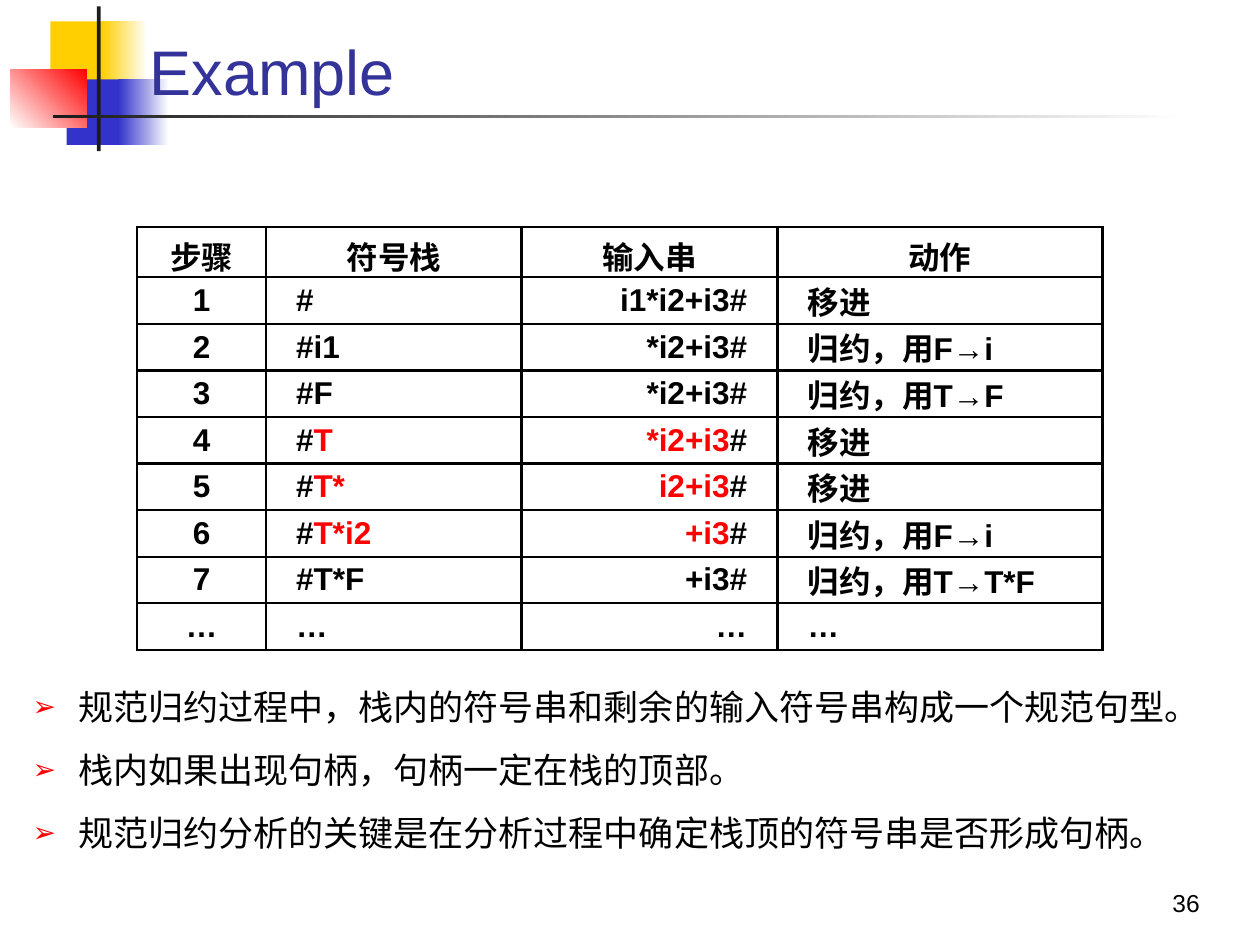
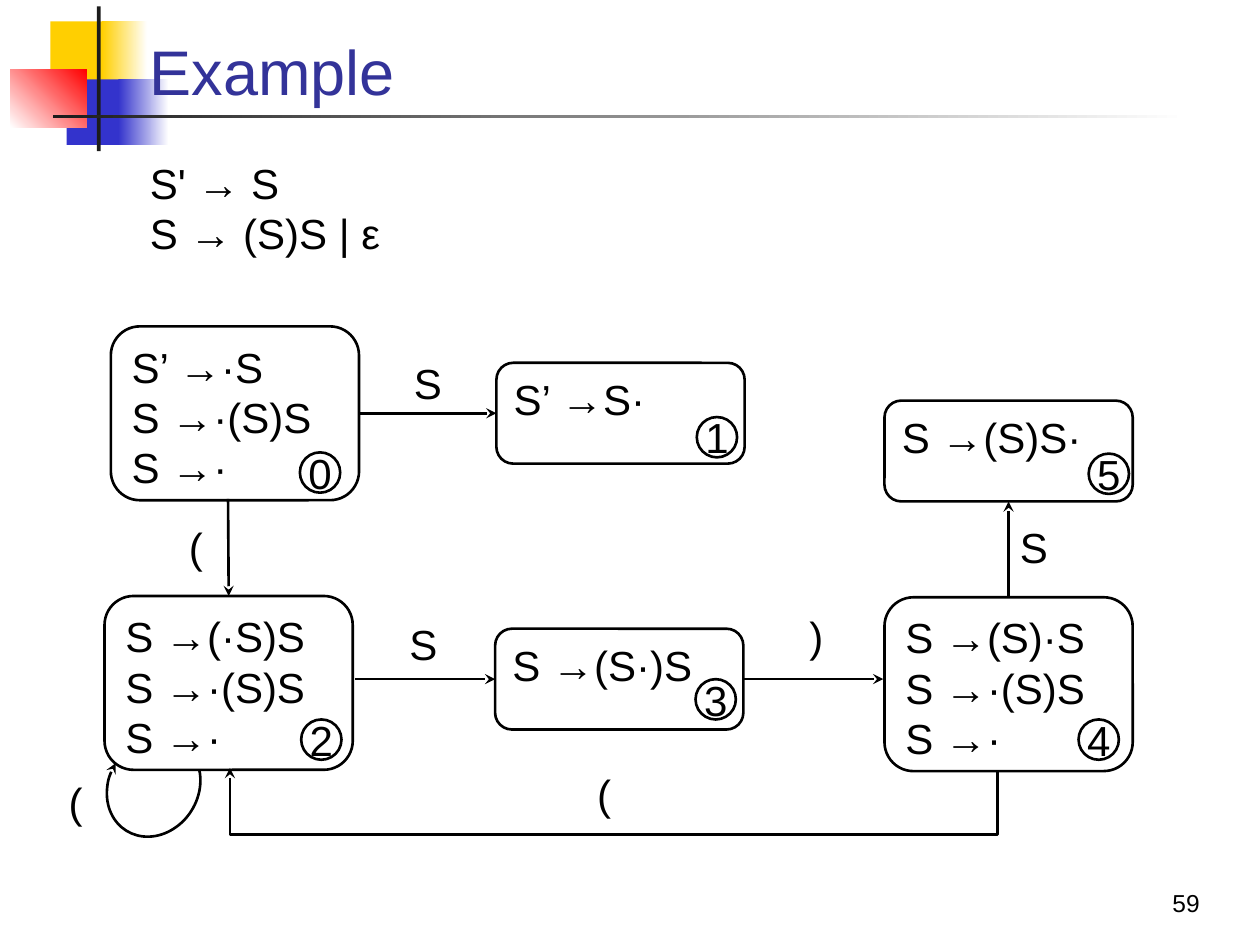
from dataclasses import dataclass
from typing import Optional

from lxml.etree import SubElement
from pptx import Presentation
from pptx.dml.color import RGBColor
from pptx.enum.shapes import MSO_CONNECTOR as Connector, MSO_SHAPE as Preset
from pptx.enum.text import MSO_ANCHOR as Anchor, MSO_AUTO_SIZE as AutoSize, PP_ALIGN as Align
from pptx.oxml import parse_xml
from pptx.oxml.ns import nsdecls, qn
from pptx.util import Inches, Pt

BLACK = RGBColor(0x00, 0x00, 0x00)
WHITE = RGBColor(0xFF, 0xFF, 0xFF)
RED = RGBColor(0xFF, 0x00, 0x00)
YELLOW = RGBColor(0xFF, 0xCF, 0x01)
BLUE = RGBColor(0x33, 0x33, 0xCC)
TITLE_BLUE = RGBColor(0x33, 0x33, 0x99)
CHARCOAL = RGBColor(0x1C, 0x1C, 0x1C)
FONT = "Arial"
LINE_WIDTH = Pt(1.5)
STATE_WIDTH, CIRCLE_SIZE = 1.97, 0.32

Box = tuple[float, float, float, float]
Point = tuple[float, float]
Site = tuple[int, int]  # state number, connection site


@dataclass
class Band:
    box: Box
    start: RGBColor
    end: Optional[RGBColor] = None
    angle: int = 0


@dataclass
class Step:
    number: str
    stack: str
    rest: str
    action: str
    highlighted: bool = False


@dataclass
class State:
    left: float
    top: float
    height: float
    items: str
    circle: Point


@dataclass
class Transition:
    start: Point
    end: Point
    source: Optional[Site] = None
    target: Optional[Site] = None


BANDS = [
    Band((0.4, 0.17, 0.48, 0.52), YELLOW),
    Band((0.81, 0.17, 0.36, 0.52), YELLOW, WHITE),
    Band((0.53, 0.63, 0.46, 0.52), BLUE),
    Band((0.94, 0.63, 0.4, 0.52), BLUE, WHITE),
    Band((0.08, 0.55, 0.61, 0.46), WHITE, RED, 45),
    Band((0.77, 0.05, 0.03, 1.15), CHARCOAL),
    Band((0.42, 0.91, 9, 0.03), CHARCOAL, WHITE),
]

HEADINGS = ["步骤", "符号栈", "输入串", "动作"]
COLUMN_WIDTHS = [1.02, 2.03, 2.03, 2.58]
COLUMN_ALIGNS = [Align.CENTER, Align.JUSTIFY, Align.RIGHT, Align.JUSTIFY]
COLUMN_MARGINS = [(0.07, 0.07), (0.24, 0.07), (0.07, 0.24), (0.24, 0.07)]
ROW_HEIGHT = 0.37
STEPS = [
    Step("1", "#", "i1*i2+i3#", "移进"),
    Step("2", "#i1", "*i2+i3#", "归约，用F→i"),
    Step("3", "#F", "*i2+i3#", "归约，用T→F"),
    Step("4", "#T", "*i2+i3#", "移进", True),
    Step("5", "#T*", "i2+i3#", "移进", True),
    Step("6", "#T*i2", "+i3#", "归约，用F→i", True),
    Step("7", "#T*F", "+i3#", "归约，用T→T*F"),
    Step("…", "…", "…", "…"),
]
REMARKS = [
    "规范归约过程中，栈内的符号串和剩余的输入符号串构成一个规范句型。",
    "栈内如果出现句柄，句柄一定在栈的顶部。",
    "规范归约分析的关键是在分析过程中确定栈顶的符号串是否形成句柄。",
]

STATES = [
    State(0.88, 2.59, 1.38, "S’ →·S\nS →·(S)S\nS →·", (2.38, 3.59)),
    State(3.94, 2.88, 0.8, "S’ →S·", (5.53, 3.31)),
    State(0.83, 4.73, 1.38, "S →(·S)S\nS →·(S)S\nS →·", (2.39, 5.71)),
    State(3.93, 4.99, 0.8, "S →(S·)S", (5.52, 5.39)),
    State(7.02, 4.74, 1.38, "S →(S)·S\nS →·(S)S\nS →·", (8.56, 5.71)),
    State(7.02, 3.18, 0.8, "S →(S)S·", (8.64, 3.6)),
]
TRANSITIONS = [
    Transition((2.85, 3.28), (3.94, 3.28), (0, 3), (1, 1)),
    Transition((1.81, 3.96), (1.81, 4.73), None, (2, 0)),
    Transition((2.82, 5.39), (3.93, 5.39), None, (3, 1)),
    Transition((5.9, 5.39), (7.01, 5.39), (3, 3), None),
    Transition((8, 4.74), (8, 3.98), (4, 0), (5, 2)),
]
LABELS = [
    ("S", (3.12, 2.81, 0.55, 0.46)),
    ("S", (3.16, 4.84, 0.4, 0.54)),
    (")", (6.28, 4.73, 0.4, 0.63)),
    ("(", (1.44, 4.14, 0.23, 0.39)),
    ("(", (0.38, 6.09, 0.44, 0.55)),
    ("(", (4.52, 6.02, 0.55, 0.55)),
    ("S", (7.94, 4.04, 0.53, 0.6)),
]


def inches(values) -> list:
    return [Inches(value) for value in values]


def place(shape, box: Box) -> None:
    shape.left, shape.top, shape.width, shape.height = inches(box)


def format_text(text_frame, size: float, color: RGBColor = BLACK, align=Align.LEFT,
                anchor=Anchor.TOP, bold: bool = False) -> None:
    text_frame.word_wrap = True
    text_frame.vertical_anchor = anchor
    for paragraph in text_frame.paragraphs:
        paragraph.alignment = align
        for run in paragraph.runs:
            run.font.name, run.font.size, run.font.bold = FONT, Pt(size), bold
            run.font.color.rgb = color


def clear_margins(text_frame) -> None:
    text_frame.margin_left = text_frame.margin_right = 0
    text_frame.margin_top = text_frame.margin_bottom = 0


def outline(shape, arrow: bool = False) -> None:
    shape.line.color.rgb = BLACK
    shape.line.width = LINE_WIDTH
    if arrow:
        SubElement(shape.line._get_or_add_ln(), qn("a:tailEnd"), type="stealth")


def add_bands(slide, layout) -> None:
    """Draw the corner decoration and move it to the layout, behind its placeholders."""
    for index, band in enumerate(BANDS):
        shape = slide.shapes.add_shape(Preset.RECTANGLE, *inches(band.box))
        shape.shadow.inherit = False
        shape.line.fill.background()
        if band.end is None:
            shape.fill.solid()
            shape.fill.fore_color.rgb = band.start
        else:
            shape.fill.gradient()
            shape.fill.gradient_angle = band.angle
            for stop, color in zip(shape.fill.gradient_stops, (band.start, band.end)):
                stop.color.rgb = color
        shape.element.xpath("./p:nvSpPr/p:cNvPr")[0].set("id", str(100 + index))
        layout.shapes.element.insert(2 + index, shape.element)


def add_base_slide(presentation, number: str):
    slide = presentation.slides.add_slide(presentation.slide_layouts[1])
    title = slide.shapes.title
    place(title, (1.09, 0.23, 8.67, 0.68))
    title.text_frame.text = "Example"
    title.text_frame.auto_size = AutoSize.NONE
    title.text_frame.paragraphs[0].line_spacing = 0.85
    format_text(title.text_frame, 36, TITLE_BLUE, anchor=Anchor.BOTTOM)
    footer = slide.shapes.add_textbox(*inches((7.54, 6.83, 2.08, 0.5)))
    footer.text_frame.text = number
    format_text(footer.text_frame, 14, align=Align.RIGHT, anchor=Anchor.BOTTOM)
    return slide


def fill_body(slide, box: Box, lines: list[str], size: float, space: float, bulleted: bool) -> None:
    body = slide.placeholders[1]
    place(body, box)
    body.text_frame.text = "\n".join(lines)
    body.text_frame.auto_size = AutoSize.NONE
    format_text(body.text_frame, size)
    indent = Inches(0.36) if bulleted else 0
    for paragraph in body.text_frame.paragraphs:
        paragraph.space_before = Pt(space)
        properties = paragraph._p.get_or_add_pPr()
        properties.set("marL", str(indent))
        properties.set("indent", str(-indent))
        if bulleted:
            color = SubElement(properties, qn("a:buClr"))
            SubElement(color, qn("a:srgbClr"), val=str(RED))
            SubElement(properties, qn("a:buSzPct"), val="80000")
            SubElement(properties, qn("a:buChar"), char="➢")
        else:
            SubElement(properties, qn("a:buNone"))


def format_cell(cell, align) -> None:
    format_text(cell.text_frame, 18, align=align, bold=True)
    cell.vertical_anchor = Anchor.MIDDLE
    cell.fill.background()
    properties = cell._tc.get_or_add_tcPr()
    for index, side in enumerate("LRTB"):
        properties.insert(index, parse_xml(
            f'<a:ln{side} {nsdecls("a")} w="{LINE_WIDTH}"><a:solidFill>'
            f'<a:srgbClr val="{BLACK}"/></a:solidFill></a:ln{side}>'))


def fill_step_cell(cell, pieces: list[str], column: int, highlighted: bool) -> None:
    paragraph = cell.text_frame.paragraphs[0]
    paragraph.space_before = paragraph.space_after = Pt(6)
    for piece in pieces:
        paragraph.add_run().text = piece
    format_cell(cell, COLUMN_ALIGNS[column])
    cell.margin_left, cell.margin_right = inches(COLUMN_MARGINS[column])
    cell.margin_top = cell.margin_bottom = 0
    for run in paragraph.runs:
        if highlighted and run.text != "#":
            run.font.color.rgb = RED


def add_step_table(slide) -> None:
    row_count = len(STEPS) + 1
    box = (1.09, 1.8, sum(COLUMN_WIDTHS), ROW_HEIGHT * row_count)
    table = slide.shapes.add_table(row_count, len(HEADINGS), *inches(box)).table
    table.first_row = table.horz_banding = False
    for column, (heading, width) in enumerate(zip(HEADINGS, COLUMN_WIDTHS)):
        table.columns[column].width = Inches(width)
        table.cell(0, column).text_frame.text = heading
        format_cell(table.cell(0, column), Align.CENTER)
    for row, step in enumerate(STEPS, start=1):
        stack, rest = [step.stack], [step.rest]
        if step.highlighted:
            stack, rest = ["#", step.stack[1:]], [step.rest[:-1], "#"]
        for column, pieces in enumerate([[step.number], stack, rest, [step.action]]):
            fill_step_cell(table.cell(row, column), pieces, column,
                           step.highlighted and column in (1, 2))


def add_outlined_shape(slide, preset, box: Box, text: str):
    shape = slide.shapes.add_shape(preset, *inches(box))
    shape.shadow.inherit = False
    shape.fill.solid()
    shape.fill.fore_color.rgb = WHITE
    outline(shape)
    shape.text_frame.text = text
    return shape


def add_state(slide, number: int, state: State):
    box = (state.left, state.top, STATE_WIDTH, state.height)
    frame = add_outlined_shape(slide, Preset.ROUNDED_RECTANGLE, box, state.items)
    format_text(frame.text_frame, 24)
    circle_box = (*state.circle, CIRCLE_SIZE, CIRCLE_SIZE)
    circle = add_outlined_shape(slide, Preset.OVAL, circle_box, str(number))
    clear_margins(circle.text_frame)
    format_text(circle.text_frame, 24, align=Align.CENTER, anchor=Anchor.MIDDLE)
    return frame


def add_arrow(slide, kind, start: Point, end: Point):
    arrow = slide.shapes.add_connector(kind, *inches((*start, *end)))
    outline(arrow, arrow=True)
    SubElement(arrow.element.spPr, qn("a:effectLst"))
    return arrow


def add_return_arrow(slide) -> None:
    """Lead from state 4 below the diagram back to state 2."""
    arrow = add_arrow(slide, Connector.ELBOW, (4.86, 3.06), (4.88, 9.15))
    transform = arrow.element.xpath("./p:spPr/a:xfrm")[0]
    transform.set("rot", str(90 * 60000))
    transform.set("flipH", "1")
    geometry = arrow.element.xpath("./p:spPr/a:prstGeom")[0]
    guides = geometry.find(qn("a:avLst"))
    if guides is None:
        guides = SubElement(geometry, qn("a:avLst"))
    SubElement(guides, qn("a:gd"), name="adj1", fmla="val -2525000")


def add_self_loop(slide) -> None:
    loop = slide.shapes.add_shape(Preset.ARC, *inches((0.81, 5.89, 0.82, 0.71)))
    loop.shadow.inherit = False
    loop.fill.background()
    loop.rotation = 302
    for index, degrees in enumerate((38, 270)):
        loop.adjustments[index] = degrees * 0.6
    outline(loop, arrow=True)


def add_automaton(slide) -> None:
    frames = [add_state(slide, number, state) for number, state in enumerate(STATES)]
    for transition in TRANSITIONS:
        arrow = add_arrow(slide, Connector.STRAIGHT, transition.start, transition.end)
        if transition.source:
            arrow.begin_connect(frames[transition.source[0]], transition.source[1])
        if transition.target:
            arrow.end_connect(frames[transition.target[0]], transition.target[1])
    add_self_loop(slide)
    add_return_arrow(slide)
    for symbol, box in LABELS:
        label = slide.shapes.add_textbox(*inches(box))
        label.text_frame.text = symbol
        clear_margins(label.text_frame)
        format_text(label.text_frame, 24, align=Align.CENTER, anchor=Anchor.MIDDLE)


def main() -> None:
    presentation = Presentation()
    presentation.slide_width, presentation.slide_height = Inches(10), Inches(7.5)
    steps_slide = add_base_slide(presentation, "36")
    add_bands(steps_slide, steps_slide.slide_layout)
    add_step_table(steps_slide)
    fill_body(steps_slide, (0.16, 5.39, 9.61, 1.45), REMARKS, 20, 12, bulleted=True)
    automaton_slide = add_base_slide(presentation, "59")
    add_automaton(automaton_slide)
    grammar = ["S' → S", "S → (S)S | ε"]
    fill_body(automaton_slide, (1.09, 1.2, 2.19, 0.91), grammar, 24, 0, bulleted=False)
    presentation.save("out.pptx")


if __name__ == "__main__":
    main()
